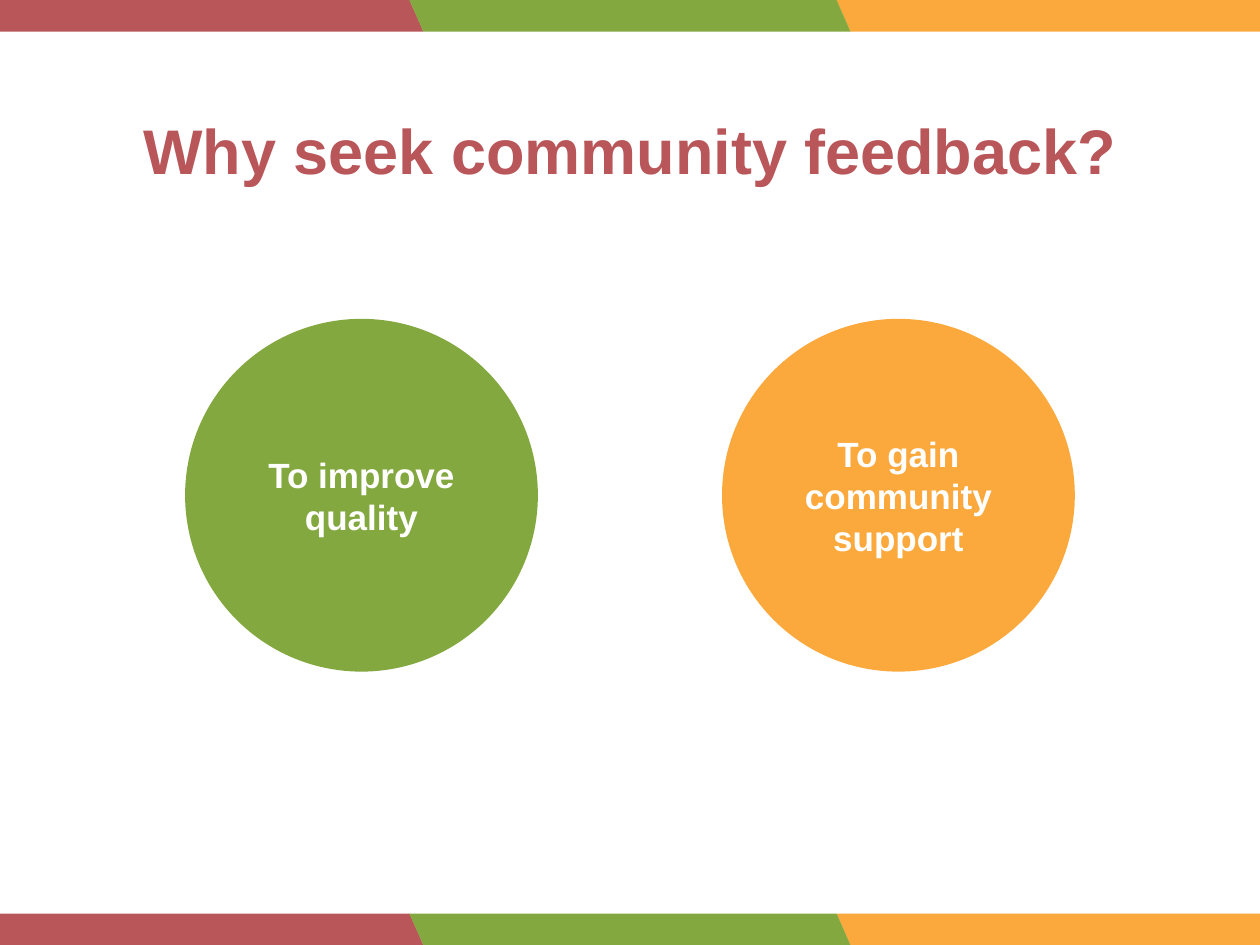
import pptx
import pptx.util
import pptx.dml.color
import pptx.enum.shapes
import pptx.enum.text

Pt = pptx.util.Pt
Color = pptx.dml.color.RGBColor
Kind = pptx.enum.shapes.MSO_SHAPE
RED = Color(0xB9, 0x56, 0x59)
GREEN = Color(0x83, 0xA8, 0x3F)
GOLD = Color(0xFB, 0xA9, 0x3D)
WHITE = Color(0xFF, 0xFF, 0xFF)


def add_shape(kind, left, top, width, height, color):
    shape = slide.shapes.add_shape(kind, Pt(left), Pt(top), Pt(width), Pt(height))
    shape.shadow.inherit = False
    shape.fill.solid()
    shape.fill.fore_color.rgb = color
    shape.line.fill.background()
    return shape


def set_text(shape, text, size, color):
    frame = shape.text_frame
    frame.text = text
    frame.word_wrap = True
    frame.vertical_anchor = pptx.enum.text.MSO_ANCHOR.MIDDLE
    line = frame.paragraphs[0]
    line.alignment = pptx.enum.text.PP_ALIGN.CENTER
    font = line.runs[0].font
    font.name = "Arial"
    font.size = Pt(size)
    font.bold = True
    font.color.rgb = color


deck = pptx.Presentation()
deck.slide_width = Pt(720)
deck.slide_height = Pt(540)
slide = deck.slides.add_slide(deck.slide_layouts[5])

for top in (522, 0):
    for spot, color in ((2, GOLD), (0, RED), (1, GREEN)):
        band = add_shape(Kind.PARALLELOGRAM, -10 + 244 * spot, top, 252, 18, color)
        band.adjustments[0] = 0.44
        band._element.spPr.xfrm.set("flipH", "1")

title = slide.shapes.title
title.left, title.top = Pt(13), Pt(59.8)
title.width, title.height = Pt(694), Pt(51)
set_text(title, "Why seek community feedback?", 36, RED)

goals = (
    (105.8, GREEN, "To improve quality"),
    (412.6, GOLD, "To gain community support"),
)
for left, color, text in goals:
    disc = add_shape(Kind.OVAL, left, 182.2, 201.6, 201.6, color)
    set_text(disc, text, 20, WHITE)

deck.save("out.pptx")
